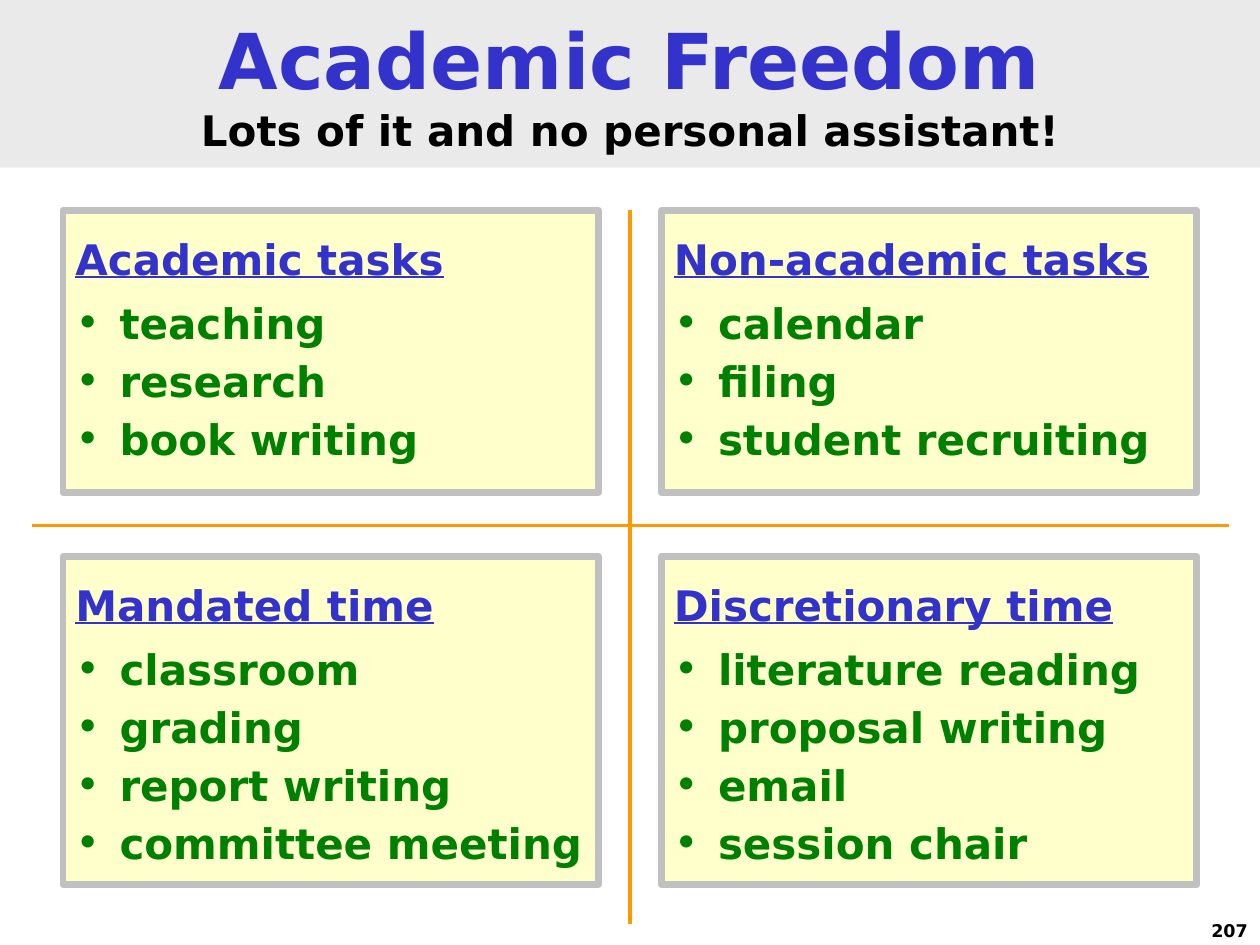
from lxml import etree
from pptx import Presentation
from pptx.dml.color import RGBColor
from pptx.enum import shapes, text
from pptx.oxml.ns import qn
from pptx.util import Inches, Pt

COLORS = {
    "band": "EAEAEA",
    "head": "3333CC",
    "black": "000000",
    "item": "008000",
    "box": "FFFFCC",
    "edge": "C0C0C0",
    "axis": "FF9900",
}


class Deck:
    font = "DejaVu Sans"

    def __init__(self, prs):
        self.slide = prs.slides.add_slide(prs.slide_layouts[5])

    def color(self, name):
        return RGBColor.from_string(COLORS[name])

    def paint(self, shape, name):
        shape.fill.solid()
        shape.fill.fore_color.rgb = self.color(name)

    def run(self, para, words, size, name, under=False):
        run = para.add_run()
        run.text = words
        font = run.font
        font.name, font.size, font.bold = self.font, Pt(size), True
        font.underline = under
        font.color.rgb = self.color(name)

    def bullet(self, para, indent):
        props = para._p.get_or_add_pPr()
        props.set("marL", str(Inches(indent)))
        props.set("indent", str(-Inches(indent)))
        tint = etree.SubElement(props, qn("a:buClr"))
        etree.SubElement(tint, qn("a:srgbClr"), val=COLORS["item"])
        etree.SubElement(props, qn("a:buFont"), typeface=self.font)
        etree.SubElement(props, qn("a:buChar"), char="•")

    def title(self, main, sub):
        shape = self.slide.shapes.title
        shape.left, shape.top = Inches(0), Inches(0)
        shape.width, shape.height = Inches(10), Inches(1.33)
        self.paint(shape, "band")
        frame = shape.text_frame
        frame.auto_size = text.MSO_AUTO_SIZE.NONE
        frame.vertical_anchor = text.MSO_ANCHOR.MIDDLE
        para = frame.paragraphs[0]
        para.alignment = text.PP_ALIGN.CENTER
        self.run(para, main, 44, "head")
        para.add_line_break()
        self.run(para, sub, 24, "black")

    def line(self, x1, y1, x2, y2):
        line = self.slide.shapes.add_connector(
            shapes.MSO_CONNECTOR.STRAIGHT,
            Inches(x1), Inches(y1), Inches(x2), Inches(y2))
        line.line.color.rgb = self.color("axis")
        line.line.width = Pt(2)
        etree.SubElement(line._element.spPr, qn("a:effectLst"))

    def box(self, x, y, wide, high, head, items):
        shape = self.slide.shapes.add_shape(
            shapes.MSO_SHAPE.RECTANGLE,
            Inches(x), Inches(y), Inches(wide), Inches(high))
        shape.shadow.inherit = False
        self.paint(shape, "box")
        shape.line.color.rgb = self.color("edge")
        shape.line.width = Pt(4)
        frame = shape.text_frame
        frame.word_wrap = True
        frame.vertical_anchor = text.MSO_ANCHOR.TOP
        frame.margin_top = Inches(0.18)
        para = frame.paragraphs[0]
        para.alignment = text.PP_ALIGN.LEFT
        self.run(para, head, 24, "head", under=True)
        for i, item in enumerate(items):
            para = frame.add_paragraph()
            self.bullet(para, 0.35)
            para.alignment = text.PP_ALIGN.LEFT
            para.space_before = Pt(4.3 if i else 8)
            self.run(para, item, 24, "item")

    def number(self, words):
        frame = self.slide.shapes.add_textbox(
            Inches(7.92), Inches(7.25), Inches(2.08), Inches(0.25)).text_frame
        frame.word_wrap = True
        para = frame.paragraphs[0]
        para.alignment = text.PP_ALIGN.RIGHT
        self.run(para, words, 10, "black")


def main():
    prs = Presentation()
    prs.slide_width, prs.slide_height = Inches(10), Inches(7.5)
    deck = Deck(prs)
    deck.title("Academic Freedom", "Lots of it and no personal assistant!")

    # Cross between the quadrants
    deck.line(0.25, 4.17, 9.75, 4.17)
    deck.line(5, 1.67, 5, 7.33)

    # Quadrants: top, height and the two boxes of each row
    rows = [
        (1.67, 2.24, [
            ("Academic tasks", ["teaching", "research", "book writing"]),
            ("Non-academic tasks",
             ["calendar", "filing", "student recruiting"]),
        ]),
        (4.42, 2.6, [
            ("Mandated time",
             ["classroom", "grading", "report writing", "committee meeting"]),
            ("Discretionary time",
             ["literature reading", "proposal writing", "email",
              "session chair"]),
        ]),
    ]
    for top, high, pair in rows:
        for col, (head, items) in enumerate(pair):
            deck.box(0.5 + 4.75 * col, top, 4.25, high, head, items)

    # Page number
    deck.number("207")
    prs.save("out.pptx")


if __name__ == "__main__":
    main()
